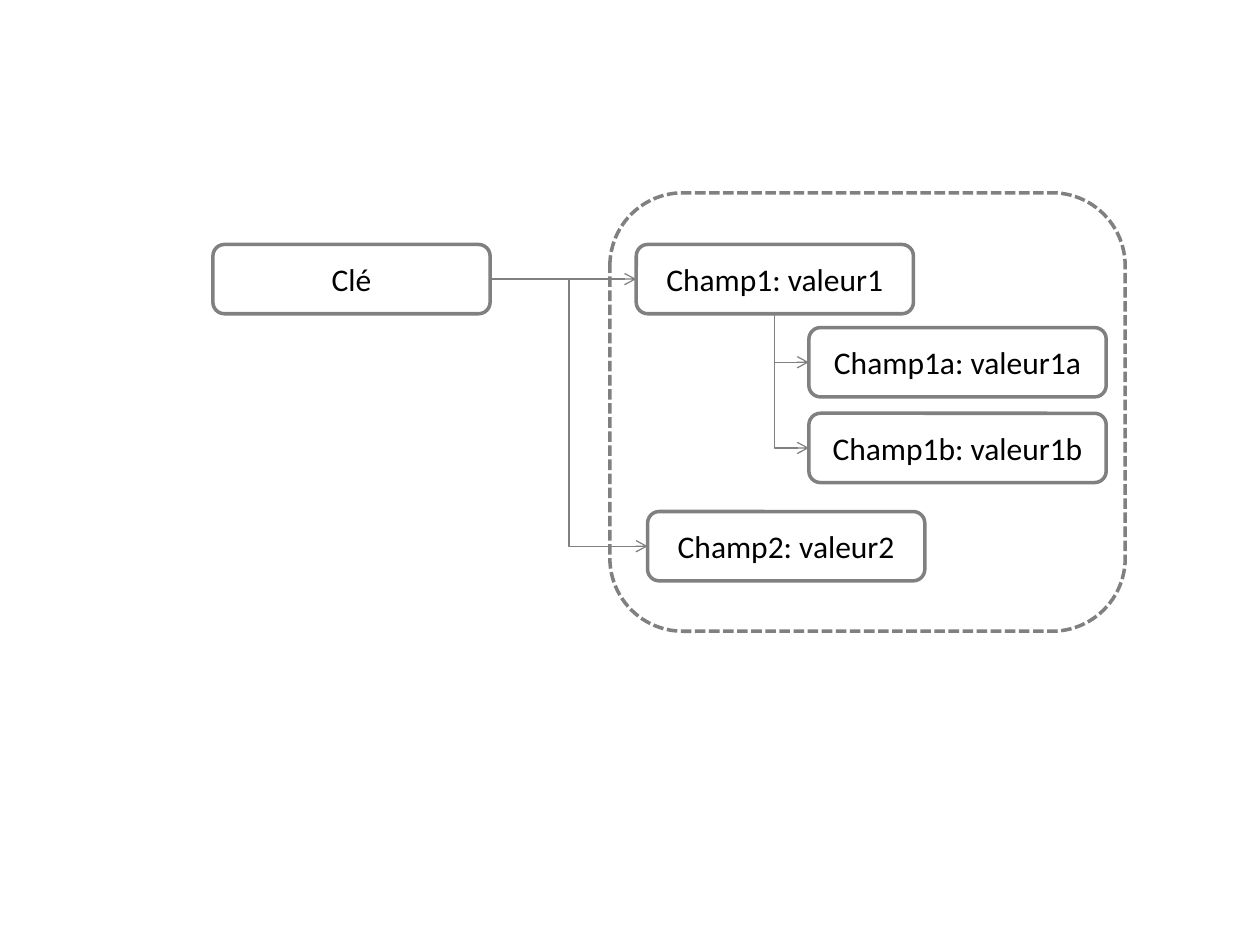
"""Build a slide showing a key that points to nested fields and values."""
from pptx import Presentation
from pptx.dml.color import RGBColor
from pptx.enum import dml, shapes, text
from pptx.oxml import parse_xml
from pptx.oxml.ns import nsdecls, qn
from pptx.util import Inches, Pt

GREY = RGBColor(0x80, 0x80, 0x80)
WHITE = RGBColor(0xFF, 0xFF, 0xFF)
BLACK = RGBColor(0, 0, 0)

BOX_H = 0.55
WIDE, NARROW = 2.36, 2.2
FRAME = (4.84, 1.53, 4.09, 3.48)
BOXES = {
    "Clé": (1.69, 1.94, NARROW),
    "Champ1: valeur1": (5.05, 1.94, NARROW),
    "Champ1a: valeur1a": (6.42, 2.6, WIDE),
    "Champ1b: valeur1b": (6.42, 3.28, WIDE),
    "Champ2: valeur2": (5.14, 4.06, NARROW),
}
LEFT, BOTTOM, RIGHT = 1, 2, 3
LINKS = [
    ("Clé", RIGHT, "Champ1: valeur1"),
    ("Clé", RIGHT, "Champ2: valeur2"),
    ("Champ1: valeur1", BOTTOM, "Champ1a: valeur1a"),
    ("Champ1: valeur1", BOTTOM, "Champ1b: valeur1b"),
]


def add_round_rect(s, x, y, w, h):
    sp = s.shapes.add_shape(shapes.MSO_SHAPE.ROUNDED_RECTANGLE,
                            Inches(x), Inches(y), Inches(w), Inches(h))
    sp.shadow.inherit = False
    sp.line.color.rgb = GREY
    sp.line.width = Pt(2)
    return sp


def add_box(s, label, x, y, w):
    sp = add_round_rect(s, x, y, w, BOX_H)
    sp.fill.solid()
    sp.fill.fore_color.rgb = WHITE
    tf = sp.text_frame
    tf.text = label
    tf.vertical_anchor = text.MSO_ANCHOR.MIDDLE
    p = tf.paragraphs[0]
    p.alignment = text.PP_ALIGN.CENTER
    font = p.runs[0].font
    font.name, font.size = "Calibri", Pt(18)
    font.color.rgb = BLACK
    return sp


def turn_down_then_right(cx):
    x, y, w, h = cx.left, cx.top, cx.width, cx.height
    cx.left, cx.top = x + (w - h) // 2, y + (h - w) // 2
    cx.width, cx.height = h, w
    spPr = cx._element.spPr
    xfrm = spPr.find(qn("a:xfrm"))
    xfrm.set("rot", "16200000")
    xfrm.set("flipH", "1")
    spPr.find(qn("a:prstGeom")).set("prst", "bentConnector2")


def add_link(s, source, side, target):
    cx = s.shapes.add_connector(shapes.MSO_CONNECTOR.ELBOW, 0, 0, 0, 0)
    cx.begin_connect(source, side)
    cx.end_connect(target, LEFT)
    if side == BOTTOM:
        turn_down_then_right(cx)
    cx.line.color.rgb = GREY
    cx.line.width = Pt(0.75)
    cx.line._get_or_add_ln().append(
        parse_xml(f'<a:tailEnd {nsdecls("a")} type="arrow"/>'))
    cx._element.spPr.append(parse_xml(f'<a:effectLst {nsdecls("a")}/>'))


prs = Presentation()
prs.slide_width, prs.slide_height = Inches(10), Inches(7.5)
s = prs.slides.add_slide(prs.slide_layouts[6])

frame = add_round_rect(s, *FRAME)
frame.fill.background()
frame.line.dash_style = dml.MSO_LINE.SQUARE_DOT

boxes = {label: add_box(s, label, *place) for label, place in BOXES.items()}
for source, side, target in LINKS:
    add_link(s, boxes[source], side, boxes[target])

prs.save("out.pptx")
